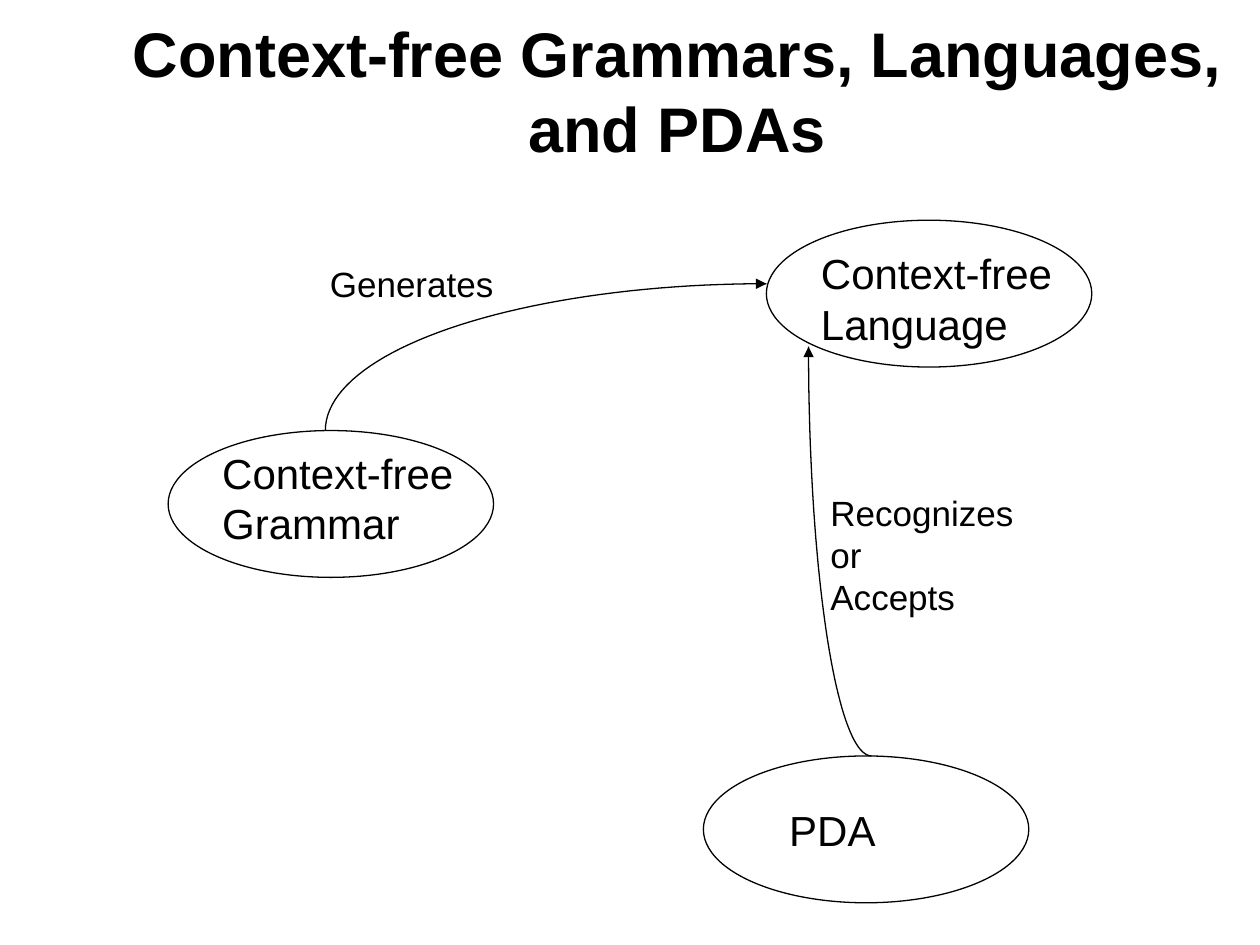
from math import cos, radians, sin

from lxml.etree import SubElement
from pptx import Presentation
from pptx.dml.color import RGBColor
from pptx.enum.shapes import MSO_CONNECTOR, MSO_SHAPE
from pptx.enum.text import MSO_ANCHOR, PP_ALIGN
from pptx.oxml.ns import qn
from pptx.util import Cm, Pt

THEME = {
    "font": "Arial",
    "ink": RGBColor(0, 0, 0),
    "title": Pt(36),
    "node": Pt(24),
    "label": Pt(20),
    "line": Pt(0.75),
}

# All lengths are in centimetres.
TITLE = ("Context-free Grammars, Languages, and PDAs", (1.9, 0.64, 23.5, 2.34))
NODE_SIZE = (6.56, 2.96)
NODES = [  # text, text box, top left corner of the ellipse
    ("Context-free Language", (16.3, 4.87, 6.99, 2.29), (15.45, 4.44)),
    ("Context-free Grammar", (4.23, 8.89, 5.61, 2.29), (3.39, 8.68)),
    ("PDA", (15.66, 16.09, 6.35, 1.27), (14.18, 15.24)),
]
LABELS = [
    ("Recognizes\nor\nAccepts", (16.49, 9.78, 4.4, 2.79)),
    ("Generates", (6.4, 5.16, 3.95, 1.12)),
]
ARROW_LENGTH = 0.42
ARCS = [  # centre, radii, first and last angle (clockwise), arrow direction
    ((15.45, 8.68), (8.89, 2.96), (180, 270), (1, 0)),
    ((17.57, 6.99), (1.27, 8.25), (90, 180), (0, -1)),
]


def style_line(shape):
    shape.line.color.rgb = THEME["ink"]
    shape.line.width = THEME["line"]


def add_text(slide, text, box, size):
    text_box = slide.shapes.add_textbox(*map(Cm, box))
    frame = text_box.text_frame
    frame.word_wrap = True
    frame.text = text
    for paragraph in frame.paragraphs:
        paragraph.font.name = THEME["font"]
        paragraph.font.size = size
        paragraph.font.color.rgb = THEME["ink"]
    return frame


def add_title(slide):
    frame = add_text(slide, *TITLE, THEME["title"])
    frame.vertical_anchor = MSO_ANCHOR.MIDDLE
    frame.paragraphs[0].alignment = PP_ALIGN.CENTER
    frame.paragraphs[0].font.bold = True


def add_ellipse(slide, corner):
    ellipse = slide.shapes.add_shape(MSO_SHAPE.OVAL, *map(Cm, corner + NODE_SIZE))
    ellipse.shadow.inherit = False
    ellipse.fill.background()
    style_line(ellipse)


def add_arc(slide, centre, radii, angles, steps=45):
    """Draw part of an ellipse and return its last point."""
    first, last = angles
    turns = [radians(first + (last - first) * i / steps) for i in range(steps + 1)]
    points = [
        (centre[0] + radii[0] * cos(turn), centre[1] + radii[1] * sin(turn))
        for turn in turns
    ]
    start, *rest = [(Cm(x), Cm(y)) for x, y in points]
    builder = slide.shapes.build_freeform(*start)
    builder.add_line_segments(rest, close=False)
    arc = builder.convert_to_shape()
    arc.shadow.inherit = False
    arc.fill.background()
    style_line(arc)
    return points[-1]


def add_arrow(slide, tip, direction):
    tail = [end - ARROW_LENGTH * step for end, step in zip(tip, direction)]
    arrow = slide.shapes.add_connector(MSO_CONNECTOR.STRAIGHT, *map(Cm, (*tail, *tip)))
    style_line(arrow)
    SubElement(arrow.line._get_or_add_ln(), qn("a:tailEnd"), type="triangle")
    SubElement(arrow._element.spPr, qn("a:effectLst"))


def main():
    presentation = Presentation()
    presentation.slide_width, presentation.slide_height = Cm(25.4), Cm(19.05)
    slide = presentation.slides.add_slide(presentation.slide_layouts[6])
    add_title(slide)
    for text, box, corner in NODES:
        add_text(slide, text, box, THEME["node"])
        add_ellipse(slide, corner)
    for centre, radii, angles, direction in ARCS:
        tip = add_arc(slide, centre, radii, angles)
        add_arrow(slide, tip, direction)
    for text, box in LABELS:
        add_text(slide, text, box, THEME["label"])
    presentation.save("out.pptx")


if __name__ == "__main__":
    main()
